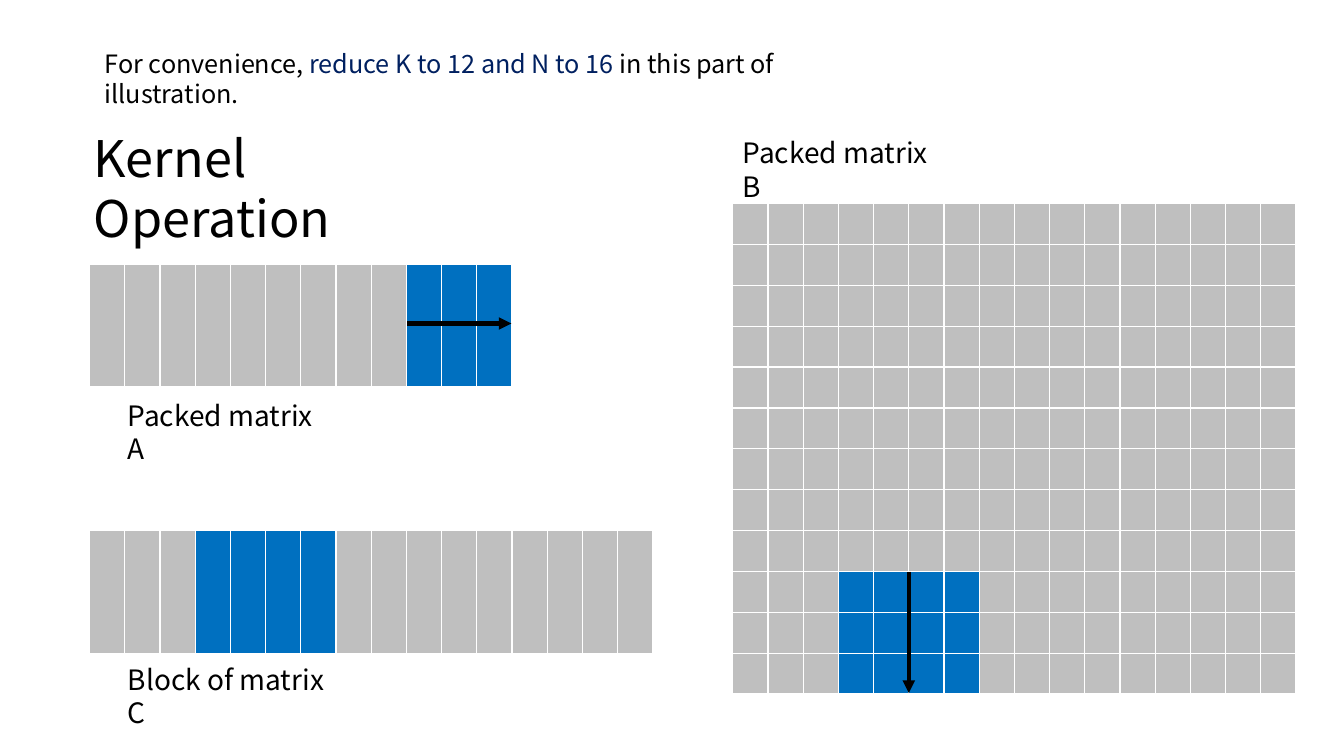
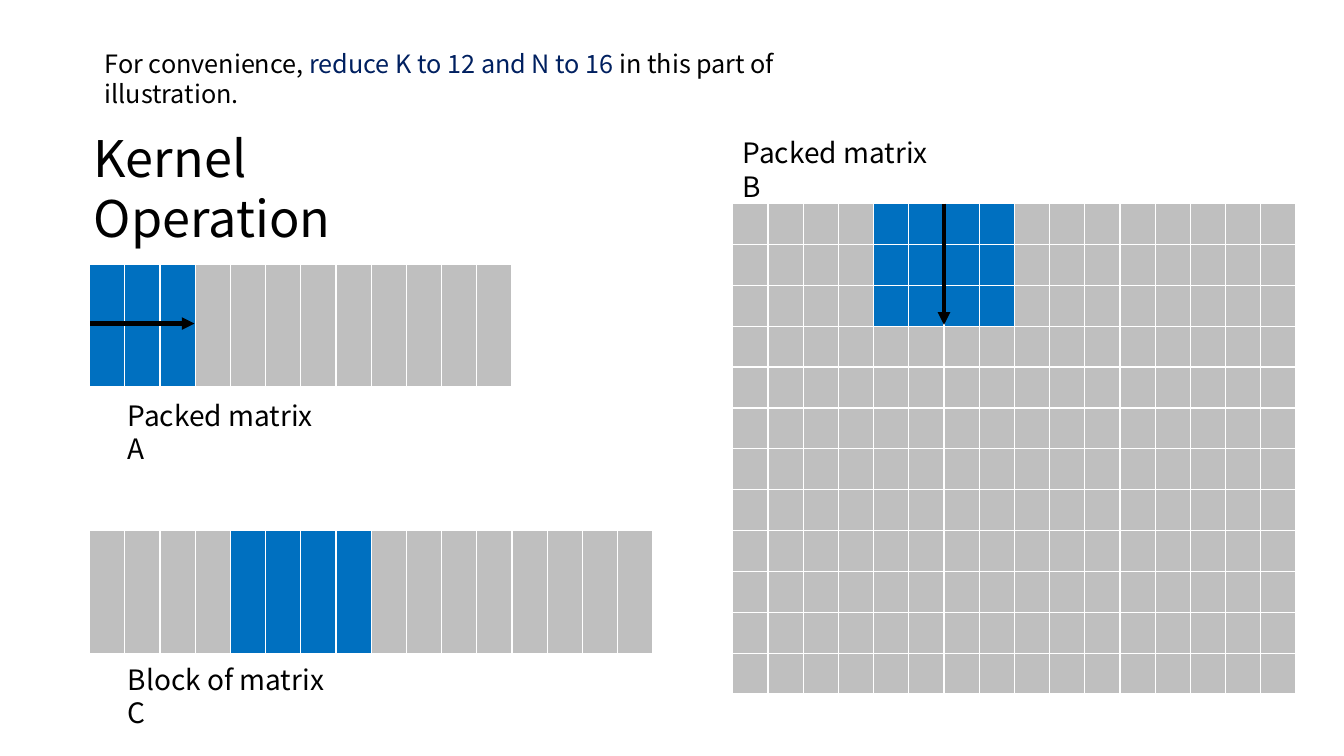
from lxml.etree import SubElement
from pptx import Presentation
from pptx.dml.color import RGBColor
from pptx.enum.shapes import MSO_CONNECTOR
from pptx.enum.text import MSO_ANCHOR, PP_ALIGN
from pptx.oxml.ns import qn
from pptx.util import Pt

# Content
TITLE = "Kernel Operation"
NOTE = [("For convenience, ", False),
        ("reduce K to 12 and N to 16 ", True),
        ("in this part of illustration.", False)]
LABELS = [  # text, left, top, width
    ("Packed matrix A", 84.2, 280.8, 154),
    ("Packed matrix B", 523.4, 93.6, 152.6),
    ("Block of matrix C", 84.2, 469.4, 161.3),
]
STEPS = [  # first active index along K, first active index along N
    (9, 3),
    (0, 4),
]
K, N = 12, 16
K_TILE, N_TILE = 3, 4

# Shared look
FONT = "Noto Sans CJK SC"
BLACK = RGBColor(0, 0, 0)
WHITE = RGBColor(255, 255, 255)
NAVY = RGBColor(0x00, 0x20, 0x60)
ACTIVE = RGBColor(0x00, 0x70, 0xC0)
IDLE = RGBColor(0xBF, 0xBF, 0xBF)

# Matrix geometry in points
COLUMN = 25.15
ROW_B = 29.22
LEFT_A, TOP_A, HEIGHT_A = 64, 188.6, 88.6
LEFT_C, TOP_C, HEIGHT_C = 64, 378.7, 89.3
LEFT_B, TOP_B = 523.4, 145.4
ARROW_Y_A = 231.1


def place(shape, left, top, width, height):
    shape.left, shape.top = Pt(left), Pt(top)
    shape.width, shape.height = Pt(width), Pt(height)


def format_text(shape, size):
    frame = shape.text_frame
    frame.word_wrap = True
    frame.vertical_anchor = MSO_ANCHOR.TOP
    paragraph = frame.paragraphs[0]
    paragraph.alignment = PP_ALIGN.LEFT
    paragraph.font.size = Pt(size)
    paragraph.font.name = FONT
    paragraph.font.color.rgb = BLACK
    return paragraph


def add_text(slide, text, left, top, width, height, size):
    shape = slide.shapes.add_textbox(Pt(left), Pt(top), Pt(width), Pt(height))
    shape.text_frame.text = text
    return format_text(shape, size)


def add_border(cell, side, width):
    properties = cell._tc.get_or_add_tcPr()
    line = SubElement(properties, qn("a:ln" + side), w=str(Pt(width)))
    fill = SubElement(line, qn("a:solidFill"))
    SubElement(fill, qn("a:srgbClr"), val=str(WHITE))


def add_matrix(slide, left, top, columns, row_heights, active_columns,
               active_rows, bottom_border):
    table = slide.shapes.add_table(
        len(row_heights), columns, Pt(left), Pt(top),
        Pt(columns * COLUMN), Pt(sum(row_heights))).table
    table.first_row = table.horz_banding = False
    for column in table.columns:
        column.width = Pt(COLUMN)
    for r, height in enumerate(row_heights):
        table.rows[r].height = Pt(height)
        for c in range(columns):
            cell = table.cell(r, c)
            cell.margin_top = cell.margin_bottom = 0
            for side in "LRT":
                add_border(cell, side, 1)
            add_border(cell, "B", bottom_border)
            active = r in active_rows and c in active_columns
            cell.fill.solid()
            cell.fill.fore_color.rgb = ACTIVE if active else IDLE


def add_arrow(slide, x1, y1, x2, y2):
    arrow = slide.shapes.add_connector(
        MSO_CONNECTOR.STRAIGHT, Pt(x1), Pt(y1), Pt(x2), Pt(y2))
    arrow.line.color.rgb = BLACK
    arrow.line.width = Pt(3)
    SubElement(arrow.line._get_or_add_ln(), qn("a:tailEnd"), type="triangle")
    SubElement(arrow._element.spPr, qn("a:effectLst"))


def add_step(presentation, k_start, n_start):
    slide = presentation.slides.add_slide(presentation.slide_layouts[5])
    k_range = range(k_start, k_start + K_TILE)
    n_range = range(n_start, n_start + N_TILE)

    # Title and note
    title = slide.shapes.title
    title.text_frame.text = TITLE
    place(title, 59.8, 87.1, 280, 51.1)
    format_text(title, 36)
    note = add_text(slide, "", 67.7, 31, 560.9, 28.8, 18)
    for text, highlighted in NOTE:
        run = note.add_run()
        run.text = text
        if highlighted:
            run.font.color.rgb = NAVY

    # Matrices
    add_matrix(slide, LEFT_A, TOP_A, K, [HEIGHT_A], k_range, [0], 3)
    add_matrix(slide, LEFT_C, TOP_C, N, [HEIGHT_C], n_range, [0], 3)
    add_matrix(slide, LEFT_B, TOP_B, N, [ROW_B] * K, n_range, k_range, 1)
    for text, left, top, width in LABELS:
        add_text(slide, text, left, top, width, 31.7, 20)

    # Direction of travel along K
    arrow_left = LEFT_A + k_start * COLUMN + 0.5
    add_arrow(slide, arrow_left, ARROW_Y_A,
              arrow_left + K_TILE * COLUMN - 1, ARROW_Y_A)
    arrow_x = LEFT_B + (n_start + N_TILE / 2) * COLUMN
    arrow_top = TOP_B + k_start * ROW_B
    add_arrow(slide, arrow_x, arrow_top,
              arrow_x, arrow_top + K_TILE * ROW_B - 1)


presentation = Presentation()
presentation.slide_width, presentation.slide_height = Pt(960), Pt(540)
for k_start, n_start in STEPS:
    add_step(presentation, k_start, n_start)
presentation.save("out.pptx")
